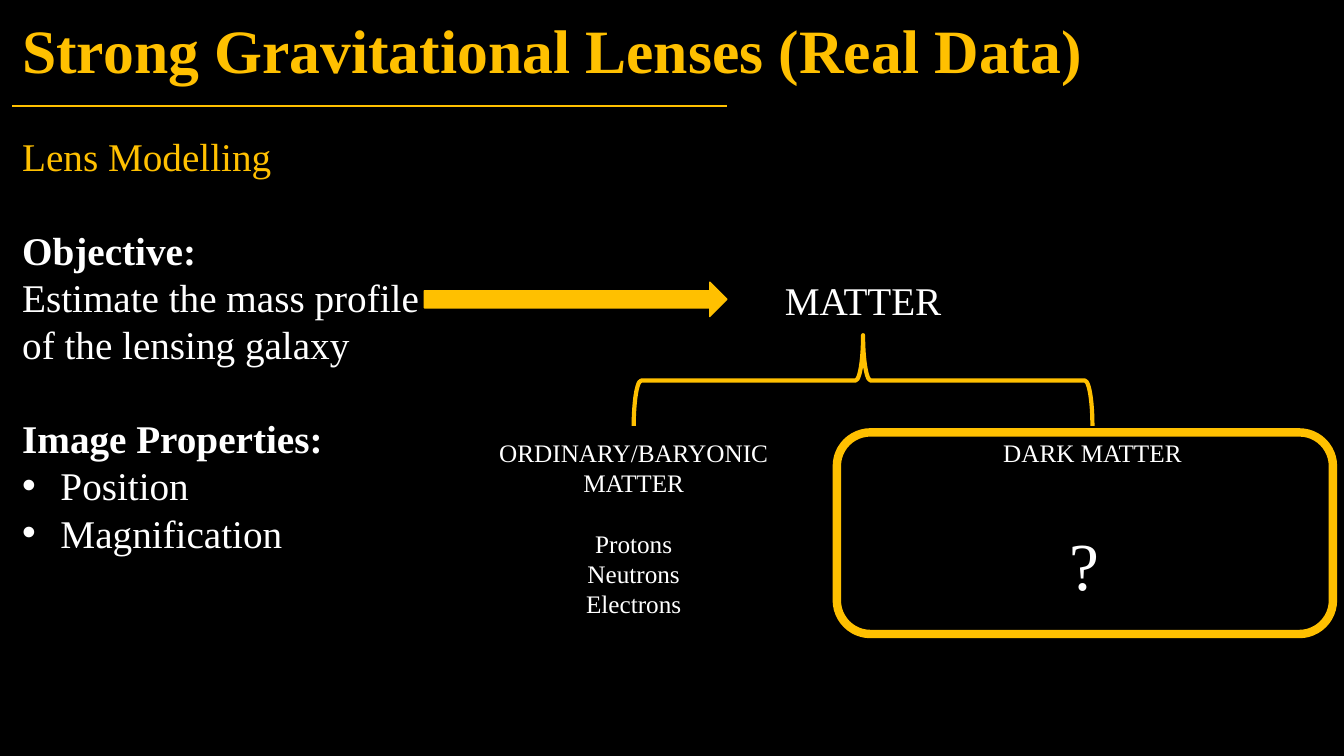
import pptx
import pptx.dml.color
import pptx.enum.shapes
import pptx.enum.text
import pptx.oxml.ns
import pptx.util
from lxml import etree

Inches = pptx.util.Inches
Pt = pptx.util.Pt
SHAPE = pptx.enum.shapes.MSO_SHAPE
ALIGN = pptx.enum.text.PP_ALIGN
ANCHOR = pptx.enum.text.MSO_ANCHOR
qn = pptx.oxml.ns.qn

COLORS = {"background": "000000", "accent": "FFC000", "text": "FFFFFF"}
FONT = "Times New Roman"
SECTION_GAP = Pt(33.7)


def color(name):
    return pptx.dml.color.RGBColor.from_string(COLORS[name])


def place(shape, left, top, width, height):
    shape.left, shape.top = Inches(left), Inches(top)
    shape.width, shape.height = Inches(width), Inches(height)


def format_runs(paragraph, size, color_name="text", bold=False):
    for run in paragraph.runs:
        run.font.name = FONT
        run.font.size = Pt(size)
        run.font.bold = bold
        run.font.color.rgb = color(color_name)


def set_bullet(paragraph, bulleted):
    properties = paragraph._p.get_or_add_pPr()
    indent = Inches(0.38) if bulleted else 0
    properties.set("marL", str(indent))
    properties.set("indent", str(-indent))
    if bulleted:
        etree.SubElement(properties, qn("a:buFont")).set("typeface", "Arial")
        etree.SubElement(properties, qn("a:buChar")).set("char", "•")
    else:
        etree.SubElement(properties, qn("a:buNone"))


def fill_title(title, text):
    place(title, 0.12, -0.19, 12.61, 1.45)
    title.text_frame.text = text
    title.text_frame.vertical_anchor = ANCHOR.MIDDLE
    paragraph = title.text_frame.paragraphs[0]
    paragraph.alignment = ALIGN.LEFT
    paragraph.line_spacing = 0.9
    format_runs(paragraph, 44, "accent", True)


def fill_body(body, lines):
    place(body, 0.12, 1.26, 4.55, 5.5)
    frame = body.text_frame
    frame.auto_size = pptx.enum.text.MSO_AUTO_SIZE.NONE
    frame.text = "\n".join(text for text, _ in lines)
    for paragraph, (_, role) in zip(frame.paragraphs, lines):
        set_bullet(paragraph, role == "bullet")
        paragraph.space_before = SECTION_GAP if role == "heading" else Pt(0)
        format_runs(paragraph, 28, "accent" if role == "topic" else "text",
                    role == "heading")


def add_label(slide, text, box, size):
    label = slide.shapes.add_textbox(*map(Inches, box))
    label.text_frame.word_wrap = True
    label.text_frame.text = text
    for paragraph in label.text_frame.paragraphs:
        paragraph.alignment = ALIGN.CENTER
        format_runs(paragraph, size)


def add_accent_shape(slide, kind, box, line_width, filled=False):
    shape = slide.shapes.add_shape(kind, *map(Inches, box))
    shape.shadow.inherit = False
    if filled:
        shape.fill.solid()
        shape.fill.fore_color.rgb = color("accent")
    else:
        shape.fill.background()
    shape.line.color.rgb = color("accent")
    shape.line.width = Pt(line_width)
    return shape


def add_rule(slide, left, right, top):
    rule = slide.shapes.add_connector(
        pptx.enum.shapes.MSO_CONNECTOR.STRAIGHT,
        Inches(left), Inches(top), Inches(right), Inches(top))
    rule.line.color.rgb = color("accent")
    rule.line.width = Pt(1.5)
    etree.SubElement(rule._element.spPr, qn("a:effectLst"))


def main():
    deck = pptx.Presentation()
    deck.slide_width, deck.slide_height = Inches(13.33), Inches(7.5)
    slide = deck.slides.add_slide(deck.slide_layouts[1])
    slide.background.fill.solid()
    slide.background.fill.fore_color.rgb = color("background")

    fill_title(slide.shapes.title, "Strong Gravitational Lenses (Real Data)")
    add_rule(slide, 0.12, 7.21, 1.05)
    fill_body(slide.placeholders[1], [
        ("Lens Modelling", "topic"),
        ("Objective:", "heading"),
        ("Estimate the mass profile", "plain"),
        ("of the lensing galaxy", "plain"),
        ("Image Properties:", "heading"),
        ("Position", "bullet"),
        ("Magnification", "bullet"),
    ])

    add_accent_shape(slide, SHAPE.RIGHT_ARROW, (4.21, 2.8, 3, 0.34), 1, True)
    matter_brace = add_accent_shape(
        slide, SHAPE.RIGHT_BRACE, (8.11, 1.5, 0.9, 4.55), 3)
    matter_brace.rotation = 270
    add_accent_shape(slide, SHAPE.ROUNDED_RECTANGLE, (8.3, 4.29, 4.92, 2), 6)

    for text, box, size in [
        ("MATTER", (6.82, 2.69, 3.48, 0.57), 28),
        ("ORDINARY/BARYONIC MATTER", (4.68, 4.29, 3.21, 0.71), 18),
        ("Protons\nNeutrons\nElectrons", (4.01, 5.19, 4.55, 1.01), 18),
        ("DARK MATTER", (9.23, 4.29, 3.21, 0.4), 18),
        ("?", (8.48, 5.14, 4.55, 0.91), 48),
    ]:
        add_label(slide, text, box, size)

    deck.save("out.pptx")


if __name__ == "__main__":
    main()
